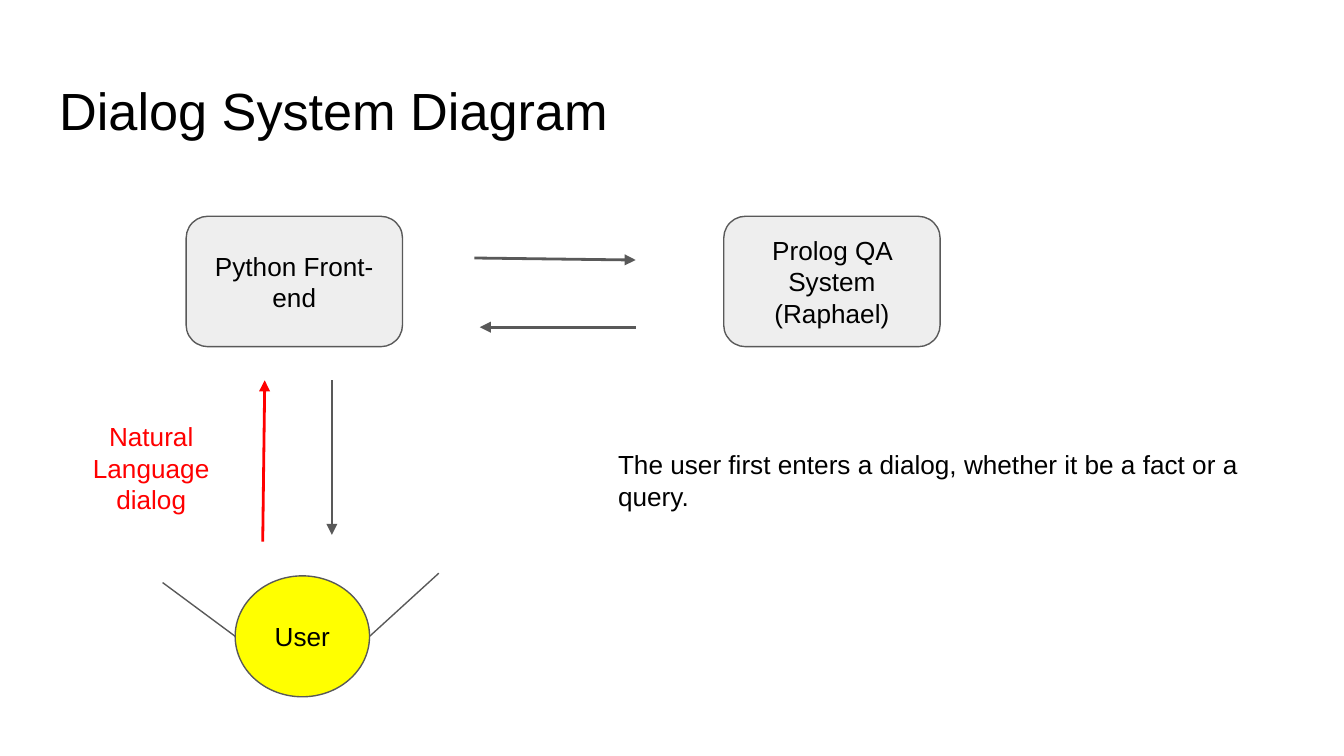
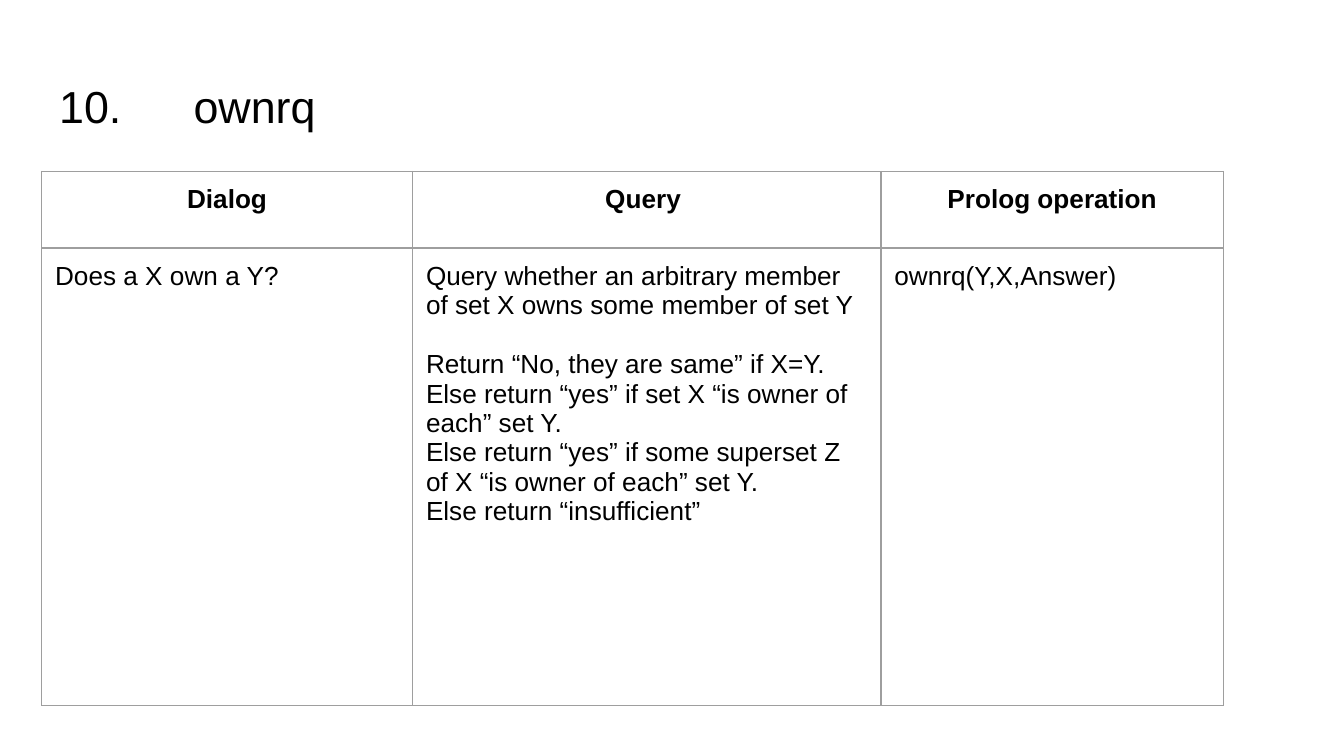
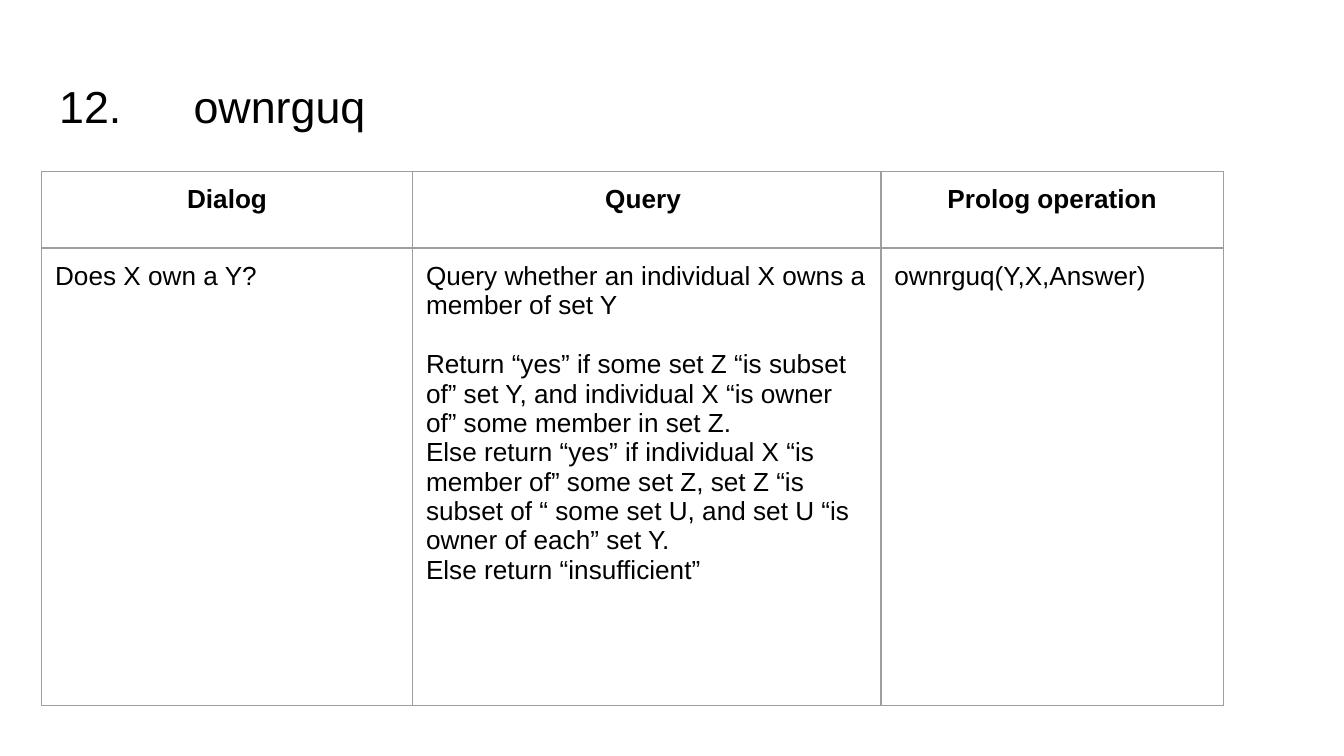
from dataclasses import dataclass

from lxml import etree
from pptx import Presentation
from pptx.dml.color import RGBColor
from pptx.enum.shapes import MSO_CONNECTOR, MSO_SHAPE
from pptx.enum.text import MSO_ANCHOR, MSO_AUTO_SIZE, PP_ALIGN
from pptx.oxml.ns import qn
from pptx.shapes.shapetree import _BaseGroupShapes
from pptx.slide import Slide
from pptx.table import _Cell
from pptx.text.text import TextFrame
from pptx.util import Emu, Pt

STRAIGHT = MSO_CONNECTOR.STRAIGHT
ELLIPSE, ROUNDED = MSO_SHAPE.OVAL, MSO_SHAPE.ROUNDED_RECTANGLE
TOP, MIDDLE = MSO_ANCHOR.TOP, MSO_ANCHOR.MIDDLE
LEFT, CENTER = PP_ALIGN.LEFT, PP_ALIGN.CENTER
NO_AUTOFIT = MSO_AUTO_SIZE.NONE

BLACK = RGBColor(0x00, 0x00, 0x00)
RED = RGBColor(0xFF, 0x00, 0x00)
YELLOW = RGBColor(0xFF, 0xFF, 0x00)
LIGHT_GRAY = RGBColor(0xEE, 0xEE, 0xEE)
DARK_GRAY = RGBColor(0x59, 0x59, 0x59)
BORDER_GRAY = RGBColor(0x9E, 0x9E, 0x9E)

FONT = "Arial"
BODY_SIZE = 14
THIN, THICK = 0.75, 1.5
PX_EMU = 4572
INSET = 20
TAB_STOP = 200
TITLE_ONLY = 5

SLIDE_SIZE = (2000, 1125)
TITLE_BOX = (68, 97, 1864, 126)
TABLE_ORIGIN = (62, 255)
COLUMN_WIDTHS = (552, 697, 510)
ROW_HEIGHTS = (114, 227, 227, 227)
HEADINGS = ("Dialog", "Query ", "Prolog operation")
BORDER_SIDES = ("a:lnL", "a:lnR", "a:lnT", "a:lnB")


@dataclass(frozen=True)
class Node:
    label: str
    box: tuple[int, int, int, int]
    outline: MSO_SHAPE = ROUNDED
    fill: RGBColor = LIGHT_GRAY


@dataclass(frozen=True)
class Link:
    start: tuple[int, int]
    end: tuple[int, int]
    color: RGBColor = DARK_GRAY
    weight: float = THICK
    arrow: bool = True


@dataclass(frozen=True)
class Caption:
    text: str
    box: tuple[int, int, int, int]
    color: RGBColor = BLACK
    align: PP_ALIGN = LEFT


@dataclass(frozen=True)
class Operation:
    number: int
    name: str
    dialog: str
    purpose: str
    rules: tuple[str, ...]


USER = Node("User", (350, 857, 200, 180), ELLIPSE, YELLOW)
USER_ARMS = (
    Link((550, 947), (653, 853), weight=THIN, arrow=False),
    Link((350, 947), (242, 867), weight=THIN, arrow=False),
)
SYSTEMS = (
    Node("Python Front-end", (277, 322, 322, 194)),
    Node("Prolog QA System (Raphael)", (1077, 322, 322, 194)),
)
USER_LINKS = (
    Link((391, 806), (394, 566), RED),
    Link((494, 566), (494, 796)),
)
SYSTEM_LINKS = (
    Link((706, 384), (946, 387)),
    Link((946, 487), (714, 487)),
)
CAPTIONS = (
    Caption("Natural Language dialog", (96, 606, 258, 154), RED, CENTER),
    Caption(
        "The user first enters a dialog, whether it be a fact or a query.",
        (900, 648, 990, 414),
    ),
)
OPERATIONS = (
    Operation(
        10,
        "ownrq",
        "Does a X own a Y?",
        "Query whether an arbitrary member of set X owns some member of set Y",
        (
            "Return “No, they are same” if X=Y.",
            "Else return “yes” if set X “is owner of each” set Y.",
            "Else return “yes” if some superset Z of X “is owner of each” set Y.",
            "Else return “insufficient”",
        ),
    ),
    Operation(
        12,
        "ownrguq",
        "Does X own a Y?",
        "Query whether an individual X owns a member of set Y",
        (
            "Return “yes” if some set Z “is subset of” set Y, and individual X "
            "“is owner of” some member in set Z.",
            "Else return “yes” if individual X “is member of” some set Z, set Z "
            "“is subset of “ some set U, and set U “is owner of each” set Y.",
            "Else return “insufficient”",
        ),
    ),
)


def px(length: int) -> Emu:
    return Emu(length * PX_EMU)


def apply(target: object, formats: dict[str, object]) -> None:
    for attribute, value in formats.items():
        setattr(target, attribute, value)


def margins() -> dict[str, object]:
    return {f"margin_{side}": px(INSET) for side in ("left", "right", "top", "bottom")}


def write(
    frame: TextFrame,
    lines: tuple[str, ...],
    size: int = BODY_SIZE,
    color: RGBColor = BLACK,
    align: PP_ALIGN = LEFT,
    bold: bool = False,
) -> None:
    frame.text = "\n".join(lines)
    for paragraph in frame.paragraphs:
        apply(paragraph, {"alignment": align, "line_spacing": 1.0})
        for run in paragraph.runs:
            apply(run.font, {"name": FONT, "size": Pt(size), "bold": bold})
            run.font.color.rgb = color


def set_frame(frame: TextFrame, anchor: MSO_ANCHOR) -> None:
    apply(frame, {"word_wrap": True, "auto_size": NO_AUTOFIT, "vertical_anchor": anchor} | margins())


def add_titled_slide(deck: Presentation, heading: str, size: int) -> Slide:
    slide = deck.slides.add_slide(deck.slide_layouts[TITLE_ONLY])
    title = slide.shapes.title
    apply(title, dict(zip(("left", "top", "width", "height"), map(px, TITLE_BOX))))
    set_frame(title.text_frame, TOP)
    write(title.text_frame, (heading,), size)
    properties = title.text_frame.paragraphs[0]._p.get_or_add_pPr()
    stops = etree.SubElement(properties, qn("a:tabLst"))
    etree.SubElement(stops, qn("a:tab"), pos=str(px(TAB_STOP)), algn="l")
    return slide


def draw_node(shapes: _BaseGroupShapes, node: Node) -> None:
    shape = shapes.add_shape(node.outline, *map(px, node.box))
    shape.shadow.inherit = False
    shape.fill.solid()
    shape.fill.fore_color.rgb = node.fill
    shape.line.color.rgb = DARK_GRAY
    shape.line.width = Pt(THIN)
    set_frame(shape.text_frame, MIDDLE)
    write(shape.text_frame, (node.label,), align=CENTER)


def draw_links(shapes: _BaseGroupShapes, links: tuple[Link, ...]) -> None:
    for link in links:
        connector = shapes.add_connector(STRAIGHT, *map(px, link.start + link.end))
        connector.line.color.rgb = link.color
        connector.line.width = Pt(link.weight)
        if link.arrow:
            etree.SubElement(connector.line._get_or_add_ln(), qn("a:tailEnd"), type="triangle")
        etree.SubElement(connector._element.spPr, qn("a:effectLst"))


def draw_caption(shapes: _BaseGroupShapes, caption: Caption) -> None:
    frame = shapes.add_textbox(*map(px, caption.box)).text_frame
    set_frame(frame, TOP)
    write(frame, (caption.text,), color=caption.color, align=caption.align)


def format_cell(cell: _Cell) -> None:
    apply(cell, {"vertical_anchor": TOP} | margins())
    properties = cell._tc.get_or_add_tcPr()
    for side in BORDER_SIDES:
        border = etree.SubElement(properties, qn(side), w=str(Pt(THIN)))
        paint = etree.SubElement(border, qn("a:solidFill"))
        etree.SubElement(paint, qn("a:srgbClr"), val=str(BORDER_GRAY))
    cell.fill.background()


def build_diagram(deck: Presentation) -> None:
    shapes = add_titled_slide(deck, "Dialog System Diagram", 28).shapes
    person = shapes.add_group_shape().shapes
    draw_node(person, USER)
    draw_links(person, USER_ARMS)
    for system in SYSTEMS:
        draw_node(shapes, system)
    draw_links(shapes, USER_LINKS)
    draw_links(shapes.add_group_shape().shapes, SYSTEM_LINKS)
    for caption in CAPTIONS:
        draw_caption(shapes, caption)


def build_operation(deck: Presentation, operation: Operation) -> None:
    slide = add_titled_slide(deck, f"{operation.number}.\t{operation.name}", 24)
    size = (sum(COLUMN_WIDTHS), sum(ROW_HEIGHTS))
    table = slide.shapes.add_table(
        len(ROW_HEIGHTS), len(COLUMN_WIDTHS), *map(px, TABLE_ORIGIN + size)
    ).table
    apply(table, {"first_row": False, "horz_banding": False})
    for column, width in zip(table.columns, COLUMN_WIDTHS):
        column.width = px(width)
    for row, height in zip(table.rows, ROW_HEIGHTS):
        row.height = px(height)
    for cell in table.iter_cells():
        format_cell(cell)

    details = (
        (operation.dialog,),
        (operation.purpose, *operation.rules),
        (f"{operation.name}(Y,X,Answer)",),
    )
    last_row = len(ROW_HEIGHTS) - 1
    for index, (heading, lines) in enumerate(zip(HEADINGS, details)):
        write(table.cell(0, index).text_frame, (heading,), align=CENTER, bold=True)
        detail = table.cell(1, index)
        detail.merge(table.cell(last_row, index))
        write(detail.text_frame, lines)
        for first_rule in detail.text_frame.paragraphs[1:2]:
            first_rule.space_before = Pt(16)


def main() -> None:
    deck = Presentation()
    deck.slide_width, deck.slide_height = map(px, SLIDE_SIZE)
    build_diagram(deck)
    for operation in OPERATIONS:
        build_operation(deck, operation)
    deck.save("out.pptx")


if __name__ == "__main__":
    main()
